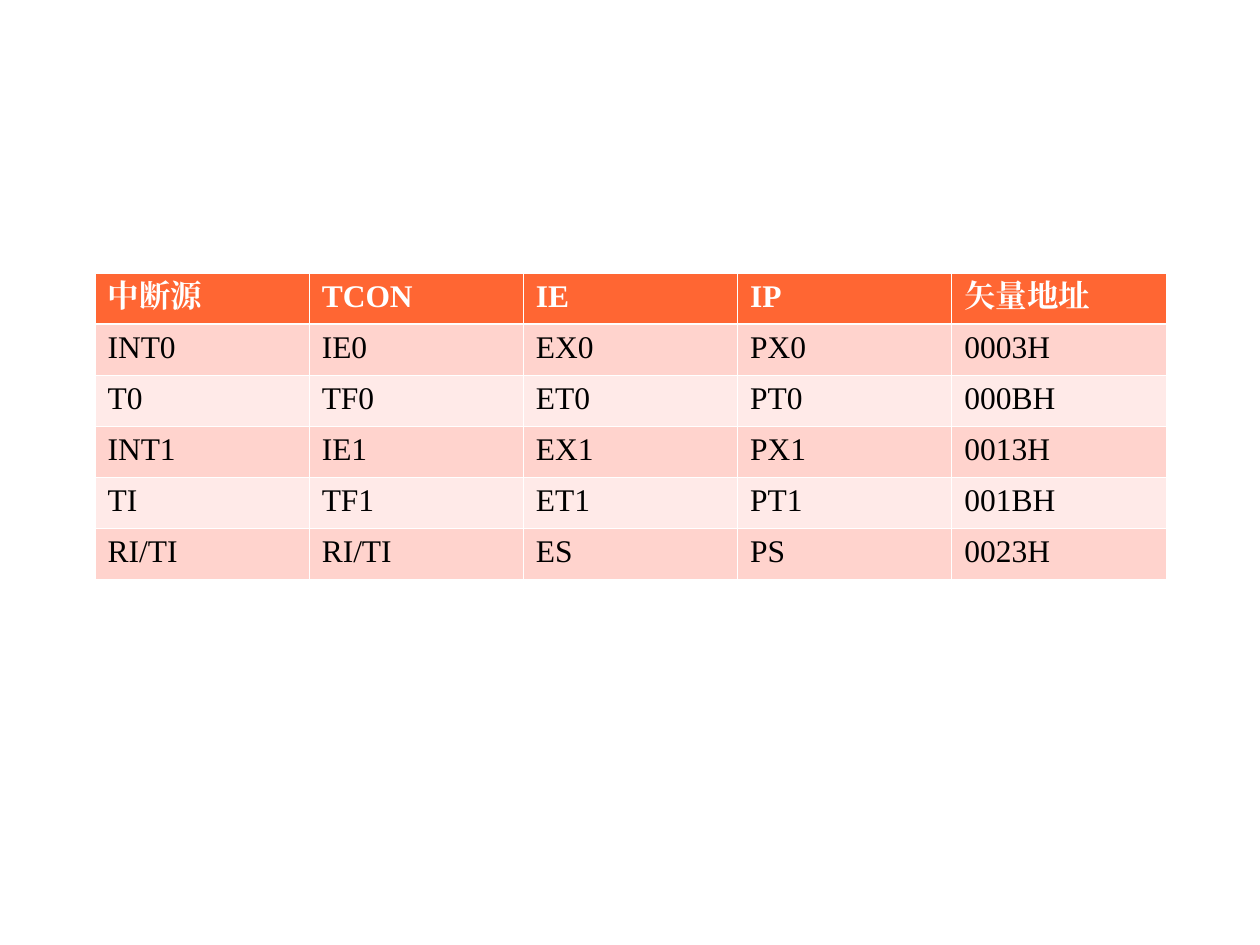
from lxml import etree
from pptx import Presentation
from pptx.dml.color import RGBColor
from pptx.oxml.ns import qn
from pptx.util import Emu, Pt

WHITE = RGBColor(0xFF, 0xFF, 0xFF)
BLACK = RGBColor(0x00, 0x00, 0x00)
ORANGE = RGBColor(0xFF, 0x66, 0x33)
PINK = RGBColor(0xFF, 0xD3, 0xCD)
PALE_PINK = RGBColor(0xFF, 0xEA, 0xE8)

FONT = "Times New Roman"
PX_PER_INCH = 126
BLANK_LAYOUT = 6
THIN = Pt(0.45)
THICK = Pt(1.47)

INTERRUPTS = [
    ["中断源", "TCON", "IE", "IP", "矢量地址"],
    ["INT0", "IE0", "EX0", "PX0", "0003H"],
    ["T0", "TF0", "ET0", "PT0", "000BH"],
    ["INT1", "IE1", "EX1", "PX1", "0013H"],
    ["TI", "TF1", "ET1", "PT1", "001BH"],
    ["RI/TI", "RI/TI", "ES", "PS", "0023H"],
]


def px(length):
    return Emu(round(length * 914400 / PX_PER_INCH))


def write_text(text_frame, text, size=18, color=BLACK, bold=False):
    run = text_frame.paragraphs[0].add_run()
    run.text = text
    run.font.name = FONT
    run.font.size = Pt(size)
    run.font.bold = bold
    run.font.color.rgb = color
    east_asian = etree.Element(qn("a:ea"), typeface=FONT)
    run.font._element.find(qn("a:latin")).addnext(east_asian)


def set_borders(cell, color=WHITE, **widths):
    properties = cell._tc.get_or_add_tcPr()
    for position, side in enumerate("LRTB"):
        line = etree.Element(qn(f"a:ln{side}"), w=str(widths.get(side, THIN)))
        fill = etree.SubElement(line, qn("a:solidFill"))
        etree.SubElement(fill, qn("a:srgbClr"), val=str(color))
        properties.insert(position, line)


def add_interrupt_table(slide, left, top, width, height):
    row_count, column_count = len(INTERRUPTS), len(INTERRUPTS[0])
    table = slide.shapes.add_table(
        row_count, column_count, px(left), px(top), px(width), px(height)
    ).table
    for row_index, values in enumerate(INTERRUPTS):
        is_header = row_index == 0
        band = PINK if row_index % 2 else PALE_PINK
        borders = {0: {"B": THICK}, 1: {"T": THICK}}.get(row_index, {})
        for column_index, value in enumerate(values):
            cell = table.cell(row_index, column_index)
            cell.fill.solid()
            cell.fill.fore_color.rgb = ORANGE if is_header else band
            set_borders(cell, **borders)
            write_text(
                cell.text_frame,
                value,
                color=WHITE if is_header else BLACK,
                bold=is_header,
            )


def main():
    presentation = Presentation()
    presentation.slide_width = px(1260)
    presentation.slide_height = px(945)
    slide = presentation.slides.add_slide(presentation.slide_layouts[BLANK_LAYOUT])
    add_interrupt_table(slide, 95, 273, 1071, 306)
    presentation.save("out.pptx")


if __name__ == "__main__":
    main()
